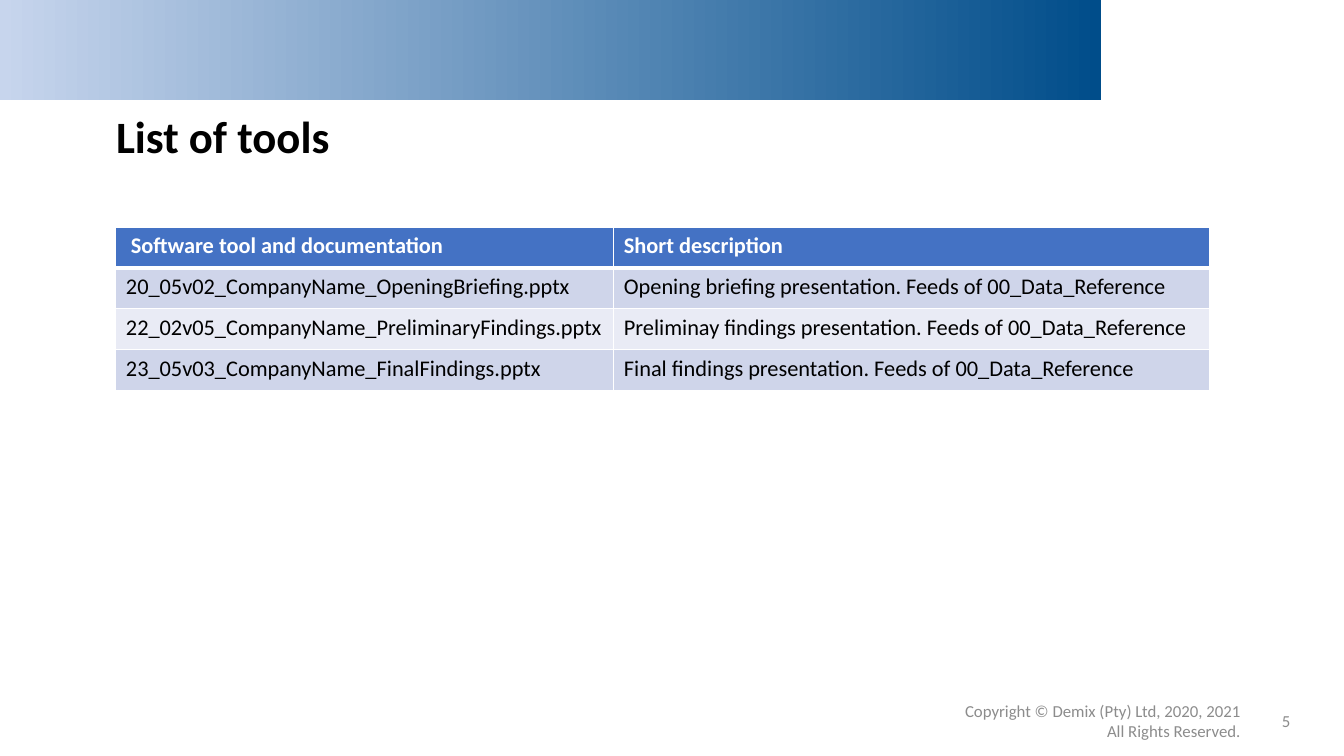
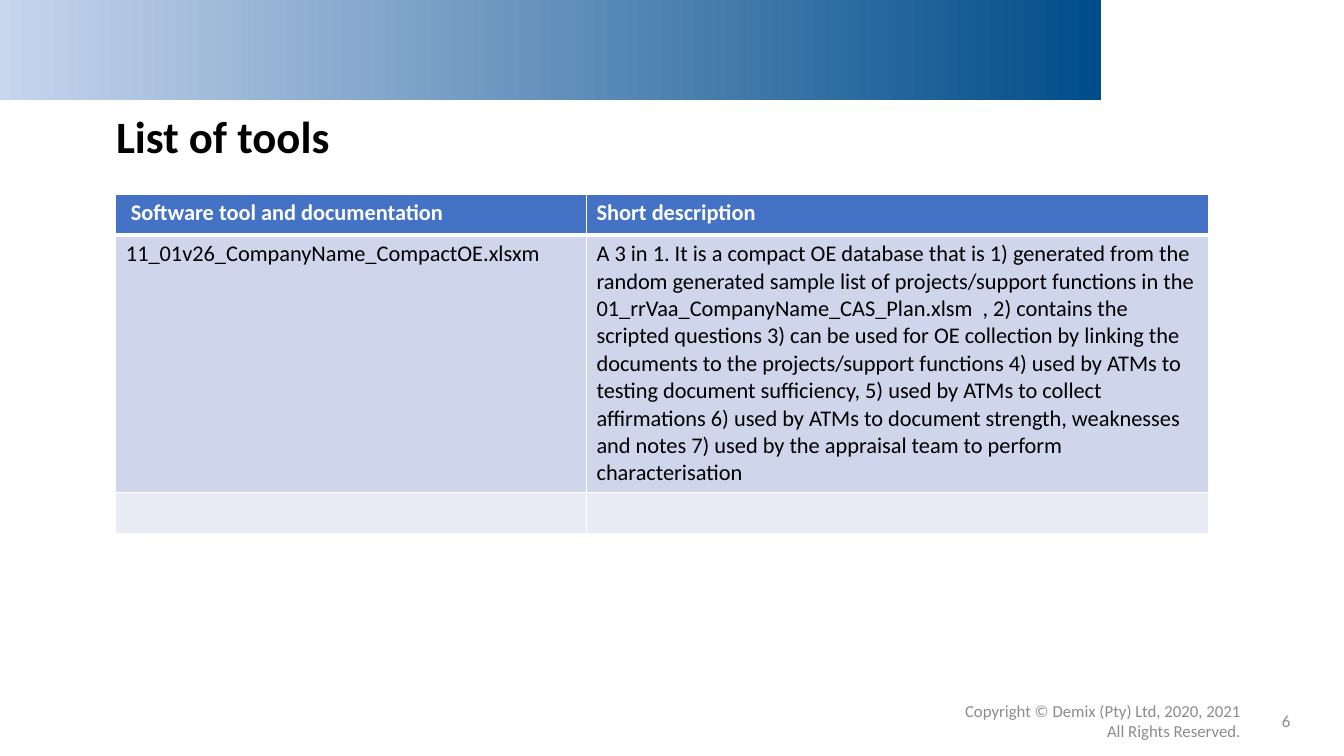
from dataclasses import dataclass

from lxml.etree import SubElement
from pptx import Presentation
from pptx.dml.color import RGBColor
from pptx.enum.shapes import MSO_SHAPE
from pptx.enum.text import MSO_ANCHOR, PP_ALIGN
from pptx.oxml.ns import qn
from pptx.util import Cm, Pt

# Content
TITLE = "List of tools"
HEADS = ("Software tool and documentation", "Short description")
RIGHTS = ("Copyright © Demix (Pty) Ltd, 2020, 2021", "All Rights Reserved.")
SLIDES = [
    {
        "page": 5, "top": 5.72, "cols": (12.55, 15.01), "tall": {},
        "rows": [
            ("20_05v02_CompanyName_OpeningBriefing.pptx",
             "Opening briefing presentation. Feeds of 00_Data_Reference"),
            ("22_02v05_CompanyName_PreliminaryFindings.pptx",
             "Preliminay findings presentation. Feeds of 00_Data_Reference"),
            ("23_05v03_CompanyName_FinalFindings.pptx",
             "Final findings presentation. Feeds of 00_Data_Reference"),
        ],
    },
    {
        "page": 6, "top": 4.9, "cols": (11.86, 15.67), "tall": {1: 6.48},
        "rows": [
            ("11_01v26_CompanyName_CompactOE.xlsxm",
             "A 3 in 1. It is a compact OE database that is 1) generated from "
             "the random generated sample list of projects/support functions "
             "in the 01_rrVaa_CompanyName_CAS_Plan.xlsm  , 2) contains the "
             "scripted questions 3) can be used for OE collection by linking "
             "the documents to the projects/support functions 4) used by ATMs "
             "to testing document sufficiency, 5) used by ATMs to collect "
             "affirmations 6) used by ATMs to document strength, weaknesses "
             "and notes 7) used by the appraisal team to perform "
             "characterisation"),
            ("", ""),
        ],
    },
]


@dataclass(frozen=True)
class Theme:
    font: str = "Calibri"
    ink: str = "000000"
    white: str = "FFFFFF"
    grey: str = "8C8C8C"
    head: str = "4472C4"
    bands: tuple = ("CFD5EA", "E9EBF5")
    fade: tuple = ("004D8A", "C7D5ED")
    title: int = 32
    body: int = 16
    small: int = 12
    thin: int = 1
    thick: int = 3


LOOK = Theme()
LEFT, ROW = 2.92, 1.03
FOOT, FOOT_H = 17.65, 1.02
INSET, NUDGE = 0.25, 0.13


def rgb(code):
    return RGBColor.from_string(code)


def write(para, text, size, color, bold=False):
    run = para.add_run()
    run.text = text
    font = run.font
    font.name, font.size, font.bold = LOOK.font, Pt(size), bold
    font.color.rgb = rgb(color)


# Parts that every slide shares
def add_band(slide):
    band = slide.shapes.add_shape(MSO_SHAPE.RECTANGLE, 0, 0, Cm(27.76), Cm(2.51))
    band.shadow.inherit = False
    band.line.fill.background()
    band.fill.gradient()
    band.fill.gradient_angle = 180
    for place, (stop, code) in enumerate(zip(band.fill.gradient_stops, LOOK.fade)):
        stop.position = place
        stop.color.rgb = rgb(code)


def add_foot(slide, left, width, lines):
    box = slide.shapes.add_textbox(Cm(left), Cm(FOOT), Cm(width), Cm(FOOT_H))
    frame = box.text_frame
    frame.word_wrap = True
    frame.vertical_anchor = MSO_ANCHOR.MIDDLE
    for i, line in enumerate(lines):
        para = frame.add_paragraph() if i else frame.paragraphs[0]
        para.alignment = PP_ALIGN.RIGHT
        write(para, line, LOOK.small, LOOK.grey)


def set_title(slide):
    title = slide.shapes.title
    title.left, title.top = Cm(2.67), Cm(2.67)
    title.width, title.height = Cm(28.88), Cm(1.68)
    frame = title.text_frame
    frame.vertical_anchor = MSO_ANCHOR.MIDDLE
    para = frame.paragraphs[0]
    para.alignment = PP_ALIGN.LEFT
    para.line_spacing = 0.9
    write(para, TITLE, LOOK.title, LOOK.ink, True)


# Table
def add_edges(cell, top, bottom):
    props = cell._tc.get_or_add_tcPr()
    sides = {"L": LOOK.thin, "R": LOOK.thin, "T": top, "B": bottom}
    for side, width in sides.items():
        edge = SubElement(props, qn(f"a:ln{side}"), w=str(Pt(width)))
        fill = SubElement(edge, qn("a:solidFill"))
        SubElement(fill, qn("a:srgbClr"), val=LOOK.white)


def fill_cell(cell, r, text):
    add_edges(cell, LOOK.thick if r == 1 else LOOK.thin,
              LOOK.thick if r == 0 else LOOK.thin)
    cell.fill.solid()
    cell.fill.fore_color.rgb = rgb(LOOK.bands[(r - 1) % 2] if r else LOOK.head)
    if text:
        write(cell.text_frame.paragraphs[0], text, LOOK.body,
              LOOK.ink if r else LOOK.white, r == 0)


def add_grid(slide, data):
    rows = [HEADS, *data["rows"]]
    highs = [data["tall"].get(r, ROW) for r in range(len(rows))]
    table = slide.shapes.add_table(
        len(rows), len(HEADS), Cm(LEFT), Cm(data["top"]),
        Cm(sum(data["cols"])), Cm(sum(highs))).table
    for col, width in zip(table.columns, data["cols"]):
        col.width = Cm(width)
    for r, texts in enumerate(rows):
        table.rows[r].height = Cm(highs[r])
        for c, text in enumerate(texts):
            fill_cell(table.cell(r, c), r, text)
    table.cell(0, 0).margin_left = Cm(INSET + NUDGE)


def main():
    deck = Presentation()
    deck.slide_width, deck.slide_height = Cm(33.87), Cm(19.05)
    for data in SLIDES:
        slide = deck.slides.add_slide(deck.slide_layouts[5])
        add_band(slide)
        add_foot(slide, 31.65, 1.12, [str(data["page"])])
        add_foot(slide, 20.8, 10.72, RIGHTS)
        set_title(slide)
        add_grid(slide, data)
    deck.save("out.pptx")


if __name__ == "__main__":
    main()
